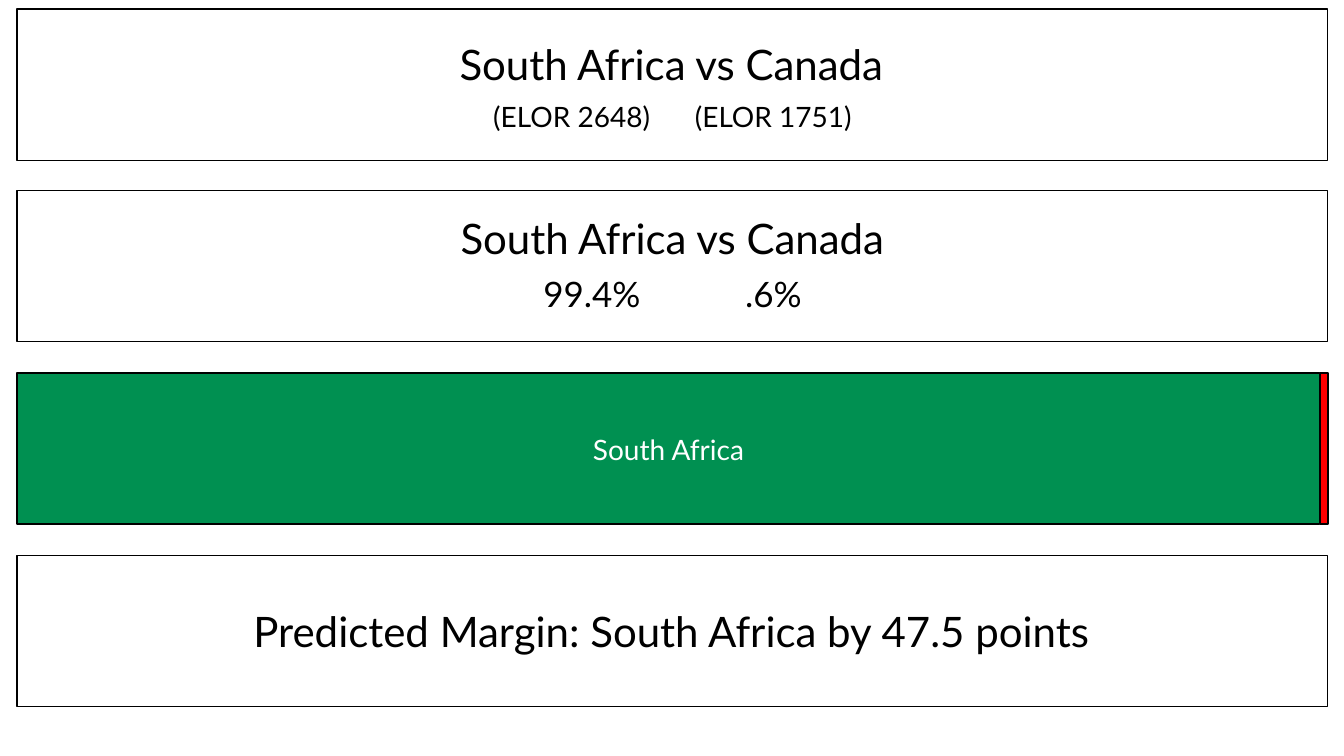
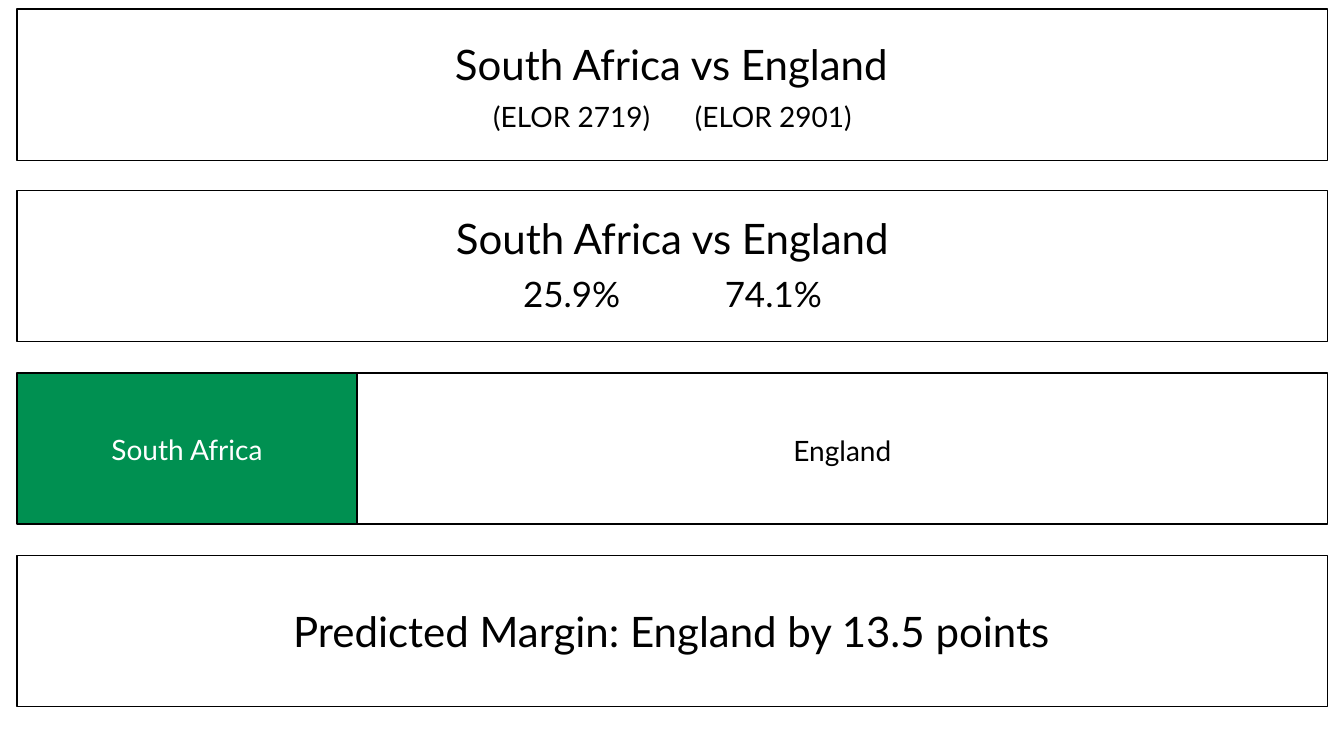
from lxml.etree import SubElement
from pptx import Presentation
from pptx.dml.color import RGBColor
from pptx.enum.shapes import MSO_SHAPE as Shape
from pptx.enum.text import MSO_ANCHOR as Anchor, MSO_AUTO_SIZE as AutoSize, PP_ALIGN as Align
from pptx.oxml.ns import qn
from pptx.util import Emu, Pt

BLACK, WHITE, GREEN, RED = "000000", "FFFFFF", "009051", "FF0000"
LEFT, WIDTH, PANEL_HEIGHT = 17, 1300, 150
HEADER_TOP, CHANCE_TOP, BAR_TOP, MARGIN_TOP = 9, 189, 370, 551
TAB_STOP = 200

MATCHES = [
    {"home": "South Africa", "away": "Canada", "ratings": (2648, 1751),
     "chances": ("99.4%", ".6%"), "away_fill": RED, "away_label": "",
     "margin": "South Africa by 47.5 points"},
    {"home": "South Africa", "away": "England", "ratings": (2719, 2901),
     "chances": ("25.9%", "74.1%"), "away_fill": WHITE, "away_label": "England",
     "margin": "England by 13.5 points"},
]


def px(length):
    """Turn px, 100 to the inch, into EMU."""
    return Emu(length * 9144)


def rgb(value):
    return RGBColor.from_string(value)


class Deck:
    font = "Lato"

    def __init__(self):
        self.presentation = Presentation()
        self.presentation.slide_width = px(1333)
        self.presentation.slide_height = px(750)
        self.slide = None

    def new_slide(self):
        layout = self.presentation.slide_layouts.get_by_name("Title Only")
        self.slide = self.presentation.slides.add_slide(layout)

    def set_line(self, shape, content, size, color):
        """Fill a text shape with one centred line."""
        frame = shape.text_frame
        frame.word_wrap = True
        frame.auto_size = AutoSize.SHAPE_TO_FIT_TEXT
        frame.vertical_anchor = Anchor.TOP
        paragraph = frame.paragraphs[0]
        paragraph.text = content
        paragraph.alignment = Align.CENTER
        if "\t" in content:
            tabs = SubElement(paragraph._p.get_or_add_pPr(), qn("a:tabLst"))
            SubElement(tabs, qn("a:tab"), pos=str(px(TAB_STOP)), algn="l")
        paragraph.font.name = self.font
        paragraph.font.size = Pt(size)
        paragraph.font.color.rgb = rgb(color)

    def title(self, content, top):
        title = self.slide.shapes.title
        title.left, title.top = px(LEFT - 1), px(top)
        title.width, title.height = px(WIDTH), px(61)
        self.set_line(title, content, 30, BLACK)

    def text(self, content, top, height, size, color=BLACK, left=LEFT, width=WIDTH):
        box = self.slide.shapes.add_textbox(px(left), px(top), px(width), px(height))
        self.set_line(box, content, size, color)

    def panel(self, top, fill=None, left=LEFT, width=WIDTH):
        """Draw an outlined rectangle, empty unless a fill is given."""
        panel = self.slide.shapes.add_shape(
            Shape.RECTANGLE, px(left), px(top), px(width), px(PANEL_HEIGHT))
        panel.shadow.inherit = False
        if fill:
            panel.fill.solid()
            panel.fill.fore_color.rgb = rgb(fill)
        else:
            panel.fill.background()
        panel.line.color.rgb = rgb(BLACK)
        panel.line.width = Pt(1)

    def match(self, home, away, ratings, chances, away_fill, away_label, margin):
        """Build the slide that predicts one match."""
        self.new_slide()
        for top in (HEADER_TOP, CHANCE_TOP, MARGIN_TOP):
            self.panel(top)
        pairing = f"{home} vs {away}"
        self.title(pairing, 33)
        self.text("\t".join(f"(ELOR {rating})" for rating in ratings), 94, 44, 20)
        self.text(pairing, 206, 61, 30)
        self.text("\t".join(chances), 265, 52, 25)

        home_width = round(WIDTH * float(chances[0].rstrip("%")) / 100)
        away_side = {"left": LEFT + home_width, "width": WIDTH - home_width}
        self.panel(BAR_TOP, GREEN, width=home_width)
        self.panel(BAR_TOP, away_fill, **away_side)
        self.text(home, 424, 44, 20, WHITE, width=home_width)
        if away_label:
            self.text(away_label, 425, 44, 20, **away_side)
        self.text(f"Predicted Margin: {margin}", 596, 61, 30, left=LEFT - 1)


def main():
    deck = Deck()
    for match in MATCHES:
        deck.match(**match)
    deck.presentation.save("out.pptx")


if __name__ == "__main__":
    main()
